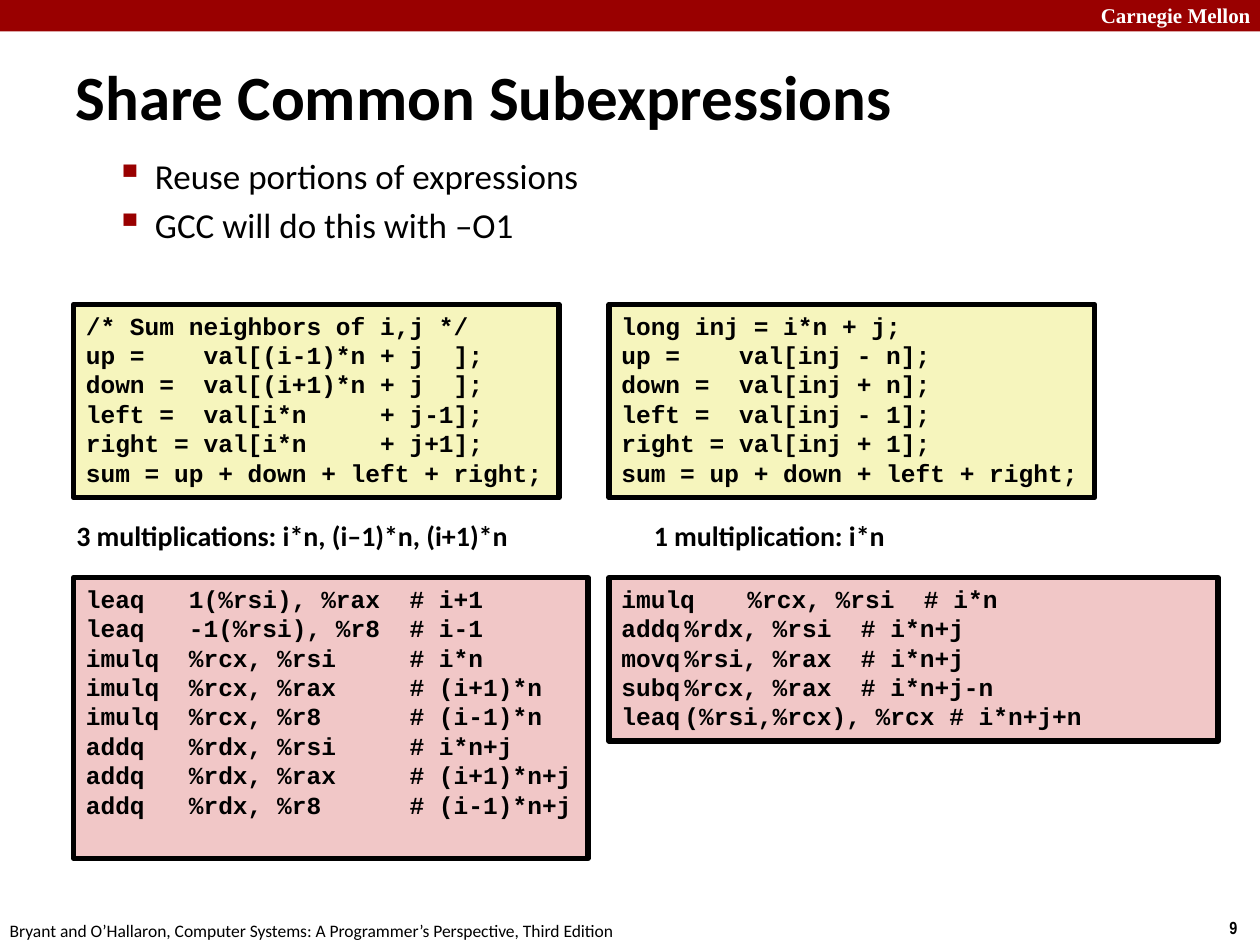
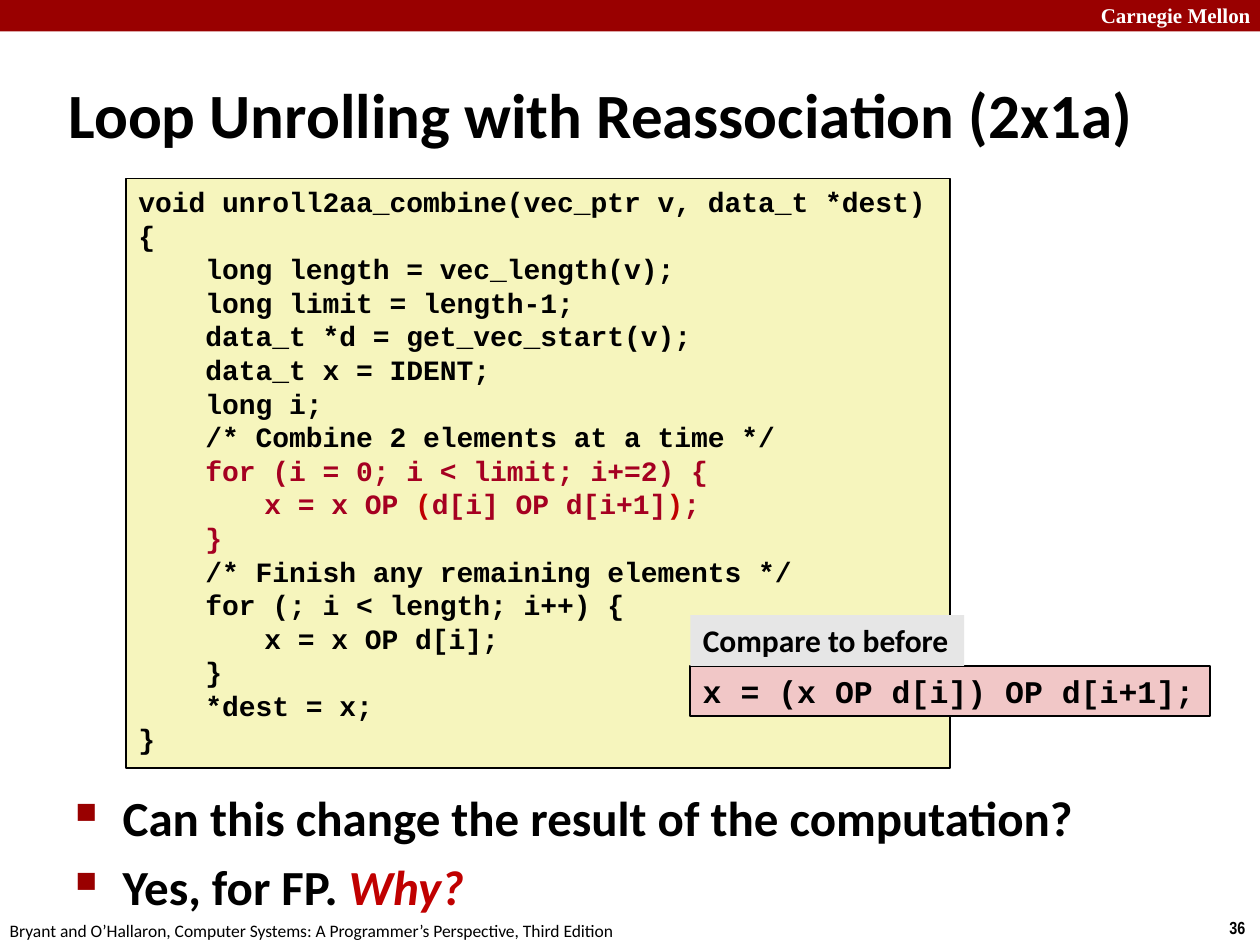
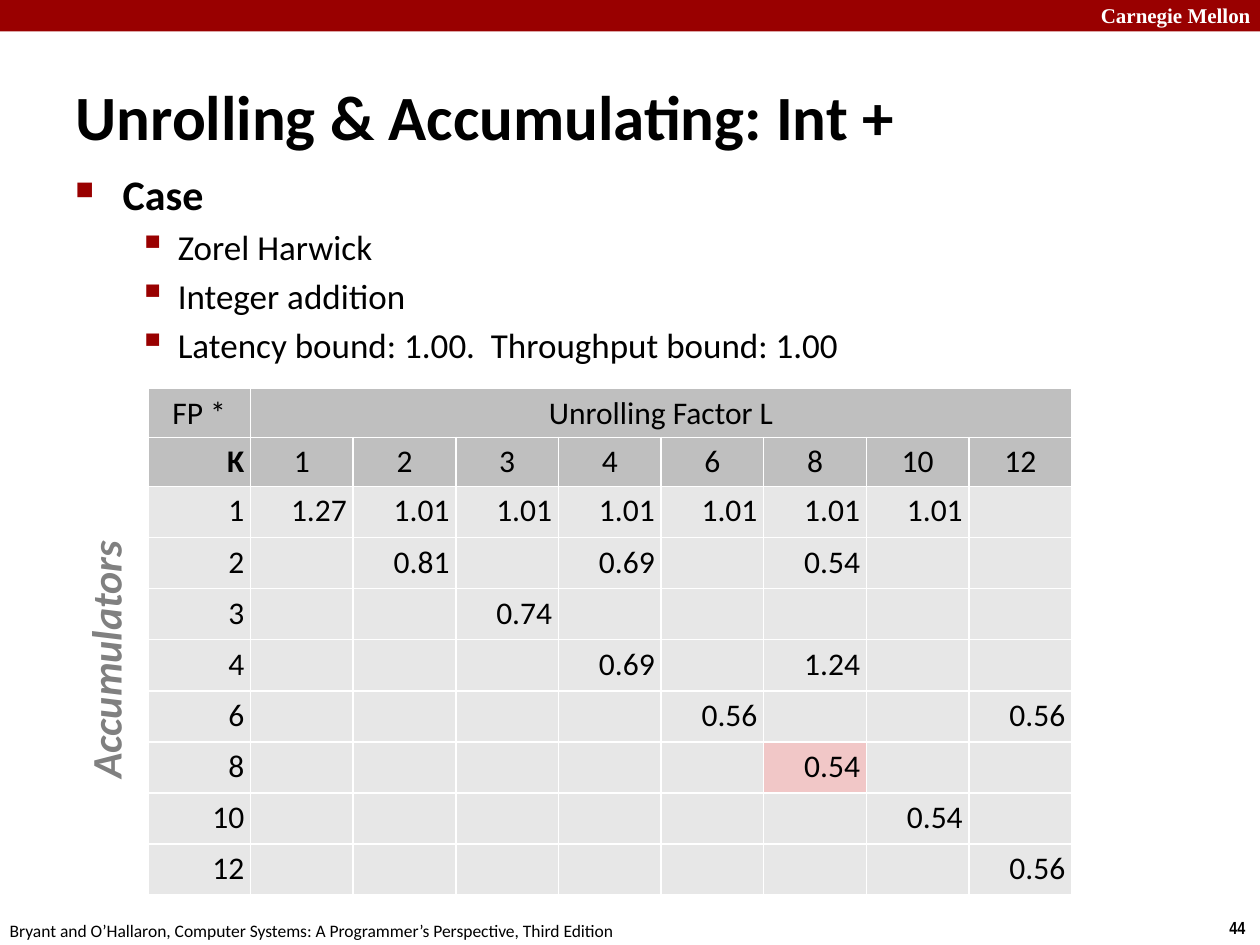
from lxml import etree
from pptx import Presentation
from pptx.dml.color import RGBColor
from pptx.enum.shapes import MSO_SHAPE
from pptx.enum.text import MSO_ANCHOR, MSO_AUTO_SIZE, PP_ALIGN
from pptx.oxml.ns import qn
from pptx.util import Pt

RECT = MSO_SHAPE.RECTANGLE
LEFT, CENTER, RIGHT = PP_ALIGN.LEFT, PP_ALIGN.CENTER, PP_ALIGN.RIGHT
MIDDLE, TOP = MSO_ANCHOR.MIDDLE, MSO_ANCHOR.TOP
NO_FIT = MSO_AUTO_SIZE.NONE

COLORS = {
    "black": "000000", "white": "FFFFFF", "band": "990000",
    "source": "F6F5BD", "assembly": "F1C7C7", "note": "E6E6E6",
    "header": "BFBFBF", "cell": "E7E7E7", "gray": "808080",
    "changed": "A50021", "accent": "C00000",
}
BODY, MONO, SERIF, NARROW = "Calibri", "Courier New", "Times New Roman", "Arial Narrow"
FOOTER = "Bryant and O’Hallaron, Computer Systems: A Programmer’s Perspective, Third Edition"
BULLETS = [
    {"char": "■", "percent": 60, "indent": 27, "hang": 27},
    {"char": "▪", "percent": 110, "indent": 58.5, "hang": 22.5},
]

NEIGHBORS = """/* Sum neighbors of i,j */
up =    val[(i-1)*n + j  ];
down =  val[(i+1)*n + j  ];
left =  val[i*n     + j-1];
right = val[i*n     + j+1];
sum = up + down + left + right;"""
SHARED = """long inj = i*n + j;
up =    val[inj - n];
down =  val[inj + n];
left =  val[inj - 1];
right = val[inj + 1];
sum = up + down + left + right;"""
NEIGHBORS_ASM = """leaq   1(%rsi), %rax  # i+1
leaq   -1(%rsi), %r8  # i-1
imulq  %rcx, %rsi     # i*n
imulq  %rcx, %rax     # (i+1)*n
imulq  %rcx, %r8      # (i-1)*n
addq   %rdx, %rsi     # i*n+j
addq   %rdx, %rax     # (i+1)*n+j
addq   %rdx, %r8      # (i-1)*n+j"""
SHARED_ASM = """imulq\t%rcx, %rsi  # i*n
addq\t%rdx, %rsi  # i*n+j
movq\t%rsi, %rax  # i*n+j
subq\t%rcx, %rax  # i*n+j-n
leaq\t(%rsi,%rcx), %rcx # i*n+j+n"""
UNROLL_START = """void unroll2aa_combine(vec_ptr v, data_t *dest)
{
    long length = vec_length(v);
    long limit = length-1;
    data_t *d = get_vec_start(v);
    data_t x = IDENT;
    long i;
    /* Combine 2 elements at a time */"""
UNROLL_LOOP = [
    [("    for (i = 0; i < limit; i+=2) {", "changed")],
    [("\tx = x OP ", "changed"), ("(", "accent"), ("d[i] OP d[i+1]", "changed"),
     (")", "accent"), (";", "changed")],
    [("    }", "changed")],
]
UNROLL_END = """    /* Finish any remaining elements */
    for (; i < length; i++) {
\tx = x OP d[i];
    }
    *dest = x;
}"""

FACTORS = [1, 2, 3, 4, 6, 8, 10, 12]
CYCLES = {
    1: {1: "1.27", 2: "1.01", 3: "1.01", 4: "1.01", 6: "1.01", 8: "1.01", 10: "1.01"},
    2: {2: "0.81", 4: "0.69", 8: "0.54"},
    3: {3: "0.74"},
    4: {4: "0.69", 8: "1.24"},
    6: {6: "0.56", 12: "0.56"},
    8: {8: "0.54"},
    10: {10: "0.54"},
    12: {12: "0.56"},
}
BEST = (8, 8)


def rgb(name):
    return RGBColor.from_string(COLORS[name])


def box(x, y, w, h):
    return Pt(x), Pt(y), Pt(w), Pt(h)


def add_run(p, text, size, font=BODY, color="black", bold=False, italic=False):
    r = p.add_run()
    r.text = text
    r.font.name, r.font.size = font, Pt(size)
    r.font.bold, r.font.italic = bold, italic
    r.font.color.rgb = rgb(color)


def next_paragraph(tf, index):
    return tf.add_paragraph() if index else tf.paragraphs[0]


def add_rect(s, place, fill, line=None):
    sp = s.shapes.add_shape(RECT, *box(*place))
    sp.shadow.inherit = False
    sp.fill.solid()
    sp.fill.fore_color.rgb = rgb(fill)
    if line:
        sp.line.color.rgb = rgb("black")
        sp.line.width = Pt(line)
    else:
        sp.line.fill.background()
    tf = sp.text_frame
    tf.word_wrap = True
    tf.vertical_anchor = TOP
    return sp


def add_label(s, place, text, size, **style):
    sp = s.shapes.add_textbox(*box(*place))
    sp.text_frame.word_wrap = False
    add_run(sp.text_frame.paragraphs[0], text, size, **style)
    return sp


def add_tabs(p, stops):
    tabs = etree.SubElement(p._p.get_or_add_pPr(), qn("a:tabLst"))
    for stop in stops:
        etree.SubElement(tabs, qn("a:tab"), pos=str(Pt(stop)), algn="l")


def plain_lines(code):
    return [[(line, "black")] for line in code.split("\n")]


def add_code(s, place, lines, fill, size, line, tabs=()):
    tf = add_rect(s, place, fill, line).text_frame
    for i, runs in enumerate(lines):
        p = next_paragraph(tf, i)
        p.alignment = LEFT
        if tabs:
            add_tabs(p, tabs)
        for text, color in runs:
            add_run(p, text, size, MONO, color, bold=True)


def add_bullet(p, level):
    style = BULLETS[level]
    pPr = p._p.get_or_add_pPr()
    pPr.set("marL", str(Pt(style["indent"])))
    pPr.set("indent", str(-Pt(style["hang"])))
    color = etree.SubElement(pPr, qn("a:buClr"))
    etree.SubElement(color, qn("a:srgbClr"), val=COLORS["band"])
    etree.SubElement(pPr, qn("a:buSzPct"), val=str(style["percent"] * 1000))
    etree.SubElement(pPr, qn("a:buChar"), char=style["char"])


def add_bullets(s, place, items):
    tf = s.shapes.add_textbox(*box(*place)).text_frame
    tf.word_wrap = True
    for i, (level, size, runs) in enumerate(items):
        p = next_paragraph(tf, i)
        if i:
            p.space_before = Pt(size * 0.2)
        add_bullet(p, level)
        for text, style in runs:
            add_run(p, text, size, bold=level == 0, **style)


def add_slide(prs, number, title, place):
    s = prs.slides.add_slide(prs.slide_layouts[5])
    add_rect(s, (0, 0, 720, 18), "band")
    add_label(s, (622, -2, 103, 21.6), "Carnegie Mellon", 12, font=SERIF, color="white", bold=True)
    add_label(s, (695.5, 520.5, 24.5, 19.4), str(number), 10, font=NARROW, bold=True)
    add_label(s, (-1.5, 522, 366, 19.4), FOOTER, 10)
    sp = s.shapes.title
    sp.left, sp.top, sp.width, sp.height = box(*place)
    tf = sp.text_frame
    tf.auto_size, tf.vertical_anchor, tf.word_wrap = NO_FIT, MIDDLE, True
    p = tf.paragraphs[0]
    p.alignment = LEFT
    add_run(p, title, 36, bold=True)
    return s


def add_border(cell):
    tcPr = cell._tc.get_or_add_tcPr()
    for i, side in enumerate(("lnL", "lnR", "lnT", "lnB")):
        ln = etree.Element(qn("a:" + side), w=str(Pt(1)))
        fill = etree.SubElement(ln, qn("a:solidFill"))
        etree.SubElement(fill, qn("a:srgbClr"), val=COLORS["white"])
        tcPr.insert(i, ln)


def set_cell(cell, text, fill, align=RIGHT, bold=False):
    cell.margin_left = cell.margin_right = cell.margin_top = cell.margin_bottom = Pt(3.6)
    cell.fill.solid()
    cell.fill.fore_color.rgb = rgb(fill)
    add_border(cell)
    p = cell.text_frame.paragraphs[0]
    p.alignment = align
    if text:
        p.line_spacing = 0.95
        add_run(p, text, 18, bold=bold)


def add_cycles_table(s):
    rows, cols = len(CYCLES) + 2, len(FACTORS) + 1
    table = s.shapes.add_table(rows, cols, *box(84.5, 222, 58.65 * cols, 289.6)).table
    for col in table.columns:
        col.width = Pt(58.65)
    for i, row in enumerate(table.rows):
        row.height = Pt(28 if i < 2 else 29.2)
    headings = ["FP *", "Unrolling Factor L"] + [""] * (cols - 2)
    for c, text in enumerate(headings):
        set_cell(table.cell(0, c), text, "header", CENTER)
    table.cell(0, 1).merge(table.cell(0, cols - 1))
    set_cell(table.cell(1, 0), "K", "header", bold=True)
    for c, factor in enumerate(FACTORS, 1):
        set_cell(table.cell(1, c), str(factor), "header", CENTER)
    for r, (accumulators, values) in enumerate(CYCLES.items(), 2):
        set_cell(table.cell(r, 0), str(accumulators), "cell")
        for c, factor in enumerate(FACTORS, 1):
            fill = "assembly" if (accumulators, factor) == BEST else "cell"
            set_cell(table.cell(r, c), values.get(factor, ""), fill)


def subexpressions_slide(prs):
    s = add_slide(prs, 9, "Share Common Subexpressions", (36, 12.5, 660, 83.5))
    add_bullets(s, (23, 84.5, 654, 70), [
        (1, 20, [("Reuse portions of expressions", {})]),
        (1, 20, [("GCC will do this with –O1", {})]),
    ])
    left, right = 42, 348
    for x, code in ((left, NEIGHBORS), (right, SHARED)):
        add_code(s, (x, 174, 277.5, 110.5), plain_lines(code), "source", 14, 3)
    add_label(s, (36.5, 292.5, 264, 26.6), "3 multiplications: i*n, (i–1)*n, (i+1)*n", 16, bold=True)
    add_label(s, (366.5, 292.5, 148, 26.6), "1 multiplication: i*n", 16, bold=True)
    for x, w, h, code in ((left, 294, 160.5, NEIGHBORS_ASM), (right, 348, 93.5, SHARED_ASM)):
        add_code(s, (x, 330, w, h), plain_lines(code), "assembly", 14, 3)


def reassociation_slide(prs):
    s = add_slide(prs, 36, "Loop Unrolling with Reassociation (2x1a)", (32, 34.5, 660, 60))
    add_bullets(s, (36, 446.5, 625, 80), [
        (0, 28, [("Can this change the result of the computation?", {})]),
        (0, 28, [("Yes, for FP. ", {}), ("Why?", {"color": "accent", "italic": True})]),
    ])
    unrolled = plain_lines(UNROLL_START) + UNROLL_LOOP + plain_lines(UNROLL_END)
    add_code(s, (72, 102, 471, 337), unrolled, "source", 16, 1, (72, 180))
    add_code(s, (394.5, 380.5, 297, 28.8), plain_lines("x = (x OP d[i]) OP d[i+1];"),
             "assembly", 18, 1)
    p = add_rect(s, (394.5, 351.5, 156.5, 29), "note").text_frame.paragraphs[0]
    p.alignment = LEFT
    add_run(p, "Compare to before", 18, bold=True)


def accumulating_slide(prs):
    s = add_slide(prs, 44, "Unrolling & Accumulating: Int +", (36, 36, 598, 60))
    add_bullets(s, (36, 92.5, 654.5, 112), [
        (0, 24, [("Case", {})]),
        (1, 20, [("Zorel Harwick", {})]),
        (1, 20, [("Integer addition", {})]),
        (1, 20, [("Latency bound: 1.00.  Throughput bound: 1.00", {})]),
    ])
    add_cycles_table(s)
    side = add_label(s, (-16, 358, 152, 36), "Accumulators", 24, color="gray", bold=True, italic=True)
    side.rotation = 270


def main():
    prs = Presentation()
    prs.slide_width, prs.slide_height = Pt(720), Pt(540)
    subexpressions_slide(prs)
    reassociation_slide(prs)
    accumulating_slide(prs)
    prs.save("out.pptx")


if __name__ == "__main__":
    main()
